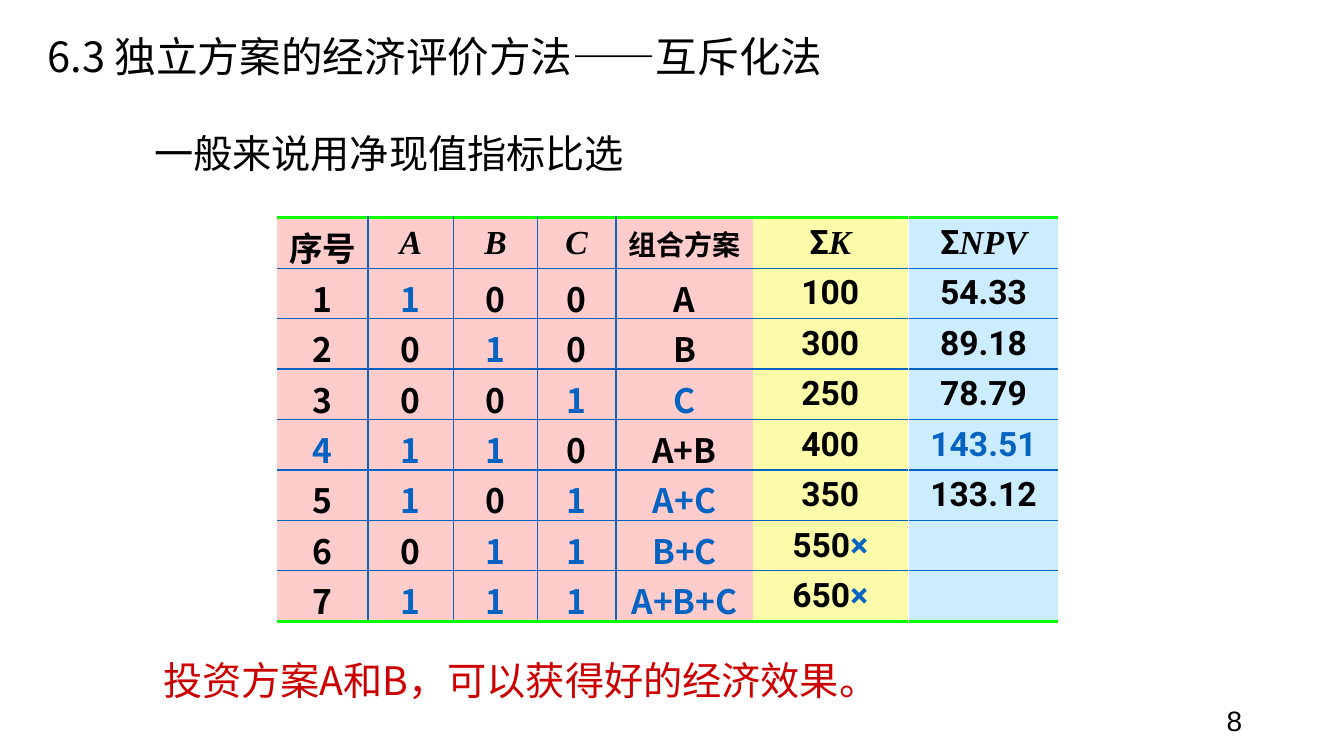
import pptx
import pptx.util
import pptx.dml.color
import pptx.enum.text
import pptx.oxml
import pptx.oxml.ns
from dataclasses import dataclass

Inches = pptx.util.Inches
Align = pptx.enum.text.PP_ALIGN
Anchor = pptx.enum.text.MSO_ANCHOR


@dataclass(frozen=True)
class Theme:
    """Colours, fonts and type sizes of the deck."""
    black: str = "000000"
    blue: str = "0563C1"
    green: str = "00FF00"
    red: str = "CC0000"
    pink: str = "FFCCCC"
    yellow: str = "FBFBA9"
    sky: str = "CCECFF"
    han: str = "Noto Sans CJK SC"
    sans: str = "Roboto"
    serif: str = "Times New Roman"
    plain: str = "Arial"
    title: float = 29.7
    body: float = 28
    cell: float = 24
    label: float = 20
    thin: float = 1
    thick: float = 2.25


class Deck:
    """Holds the theme and the current slide and adds elements to it."""

    def __init__(self, theme):
        """Start a deck with one slide."""
        self.theme = theme
        self.prs = pptx.Presentation()
        self.prs.slide_width = Inches(13.33)
        self.prs.slide_height = Inches(7.5)
        self.slide = self.prs.slides.add_slide(self.prs.slide_layouts[5])

    def ink(self, para, text, name, size, tint, **style):
        """Add a formatted run to a paragraph."""
        run = para.add_run()
        run.text = text
        style.update(name=name, size=pptx.util.Pt(size))
        for key, value in style.items():
            setattr(run.font, key, value)
        run.font.color.rgb = pptx.dml.color.RGBColor.from_string(tint)
        far = pptx.oxml.parse_xml(f'<a:ea {pptx.oxml.ns.nsdecls("a")} typeface="{name}"/>')
        run.font._element.append(far)

    def place(self, shape, box):
        """Set the place and size of a shape."""
        for key, value in zip(("left", "top", "width", "height"), box):
            setattr(shape, key, Inches(value))

    def title(self, text, box):
        """Fill the title placeholder."""
        shape = self.slide.shapes.title
        self.place(shape, box)
        frame = shape.text_frame
        frame.vertical_anchor = Anchor.MIDDLE
        frame.auto_size = pptx.enum.text.MSO_AUTO_SIZE.NONE
        para = frame.paragraphs[0]
        para.alignment = Align.LEFT
        para.line_spacing = 0.7
        self.ink(para, text, self.theme.han, self.theme.title, self.theme.black)

    def text(self, text, box, name, size, tint, align=Align.JUSTIFY, **form):
        """Add a line of text."""
        shape = self.slide.shapes.add_textbox(*map(Inches, box))
        for key, value in form.items():
            setattr(shape.text_frame, key, value)
        para = shape.text_frame.paragraphs[0]
        para.alignment = align
        self.ink(para, text, name, size, tint)

    def edge(self, cell, sides):
        """Draw the borders of a cell from a dict of side to colour and width."""
        props = cell._tc.get_or_add_tcPr()
        for spot, side in enumerate("LRTB"):
            tint, width = sides.get(side, (None, 0))
            fill = f'<a:solidFill><a:srgbClr val="{tint}"/></a:solidFill>' if tint else "<a:noFill/>"
            props.insert(spot, pptx.oxml.parse_xml(
                f'<a:ln{side} {pptx.oxml.ns.nsdecls("a")} w="{int(pptx.util.Pt(width))}">{fill}</a:ln{side}>'))

    def table(self, left, top, widths, high, rows, fill):
        """Add a filled table whose cells are lists of text, font, size, colour and slant."""
        last, end = len(rows) - 1, len(widths) - 1
        shape = self.slide.shapes.add_table(
            len(rows), len(widths), *map(Inches, (left, top, sum(widths), high * len(rows))))
        grid = shape.table
        grid.first_row = grid.horz_banding = False
        for col, width in zip(grid.columns, widths):
            col.width = Inches(width)
        rule = (self.theme.blue, self.theme.thin)
        rim = (self.theme.green, self.theme.thick)
        for i, row in enumerate(rows):
            grid.rows[i].height = Inches(high)
            for j, runs in enumerate(row):
                cell = grid.cell(i, j)
                cell.vertical_anchor = Anchor.MIDDLE
                cell.fill.solid()
                cell.fill.fore_color.rgb = pptx.dml.color.RGBColor.from_string(fill)
                sides = {"T": rim if i == 0 else rule, "B": rim if i == last else rule}
                if j > 0:
                    sides["L"] = rule
                if j < end:
                    sides["R"] = rule
                self.edge(cell, sides)
                para = cell.text_frame.paragraphs[0]
                para.alignment = Align.CENTER
                para.space_before = pptx.util.Pt(0.2 * self.theme.cell)
                for text, name, size, tint, slant in runs:
                    self.ink(para, text, name, size, tint, bold=True, italic=slant)


def main():
    """Build the slide and save it."""
    look = Theme()
    deck = Deck(look)
    top, high = 2.16, 0.5

    def part(text, name=look.han, tint=look.black, size=look.cell, slant=False):
        """Describe one run of a cell."""
        return text, name, size, tint, slant

    def sum_head(sign):
        """Describe the head of a column of sums."""
        return [[part("Σ", look.sans), part(sign, look.serif, slant=True)]]

    plans = ["100 A", "010 B", "001 C", "110 A+B", "101 A+C", "011 B+C", "111 A+B+C"]
    best = 4
    plan_rows = [[[part("序号")], *([part(x, look.serif, slant=True)] for x in "ABC"),
                  [part("组合方案", size=look.label)]]]
    for rank, plan in enumerate(plans, 1):
        bits, name = plan.split()
        plan_rows.append([
            [part(str(rank), tint=look.blue if rank == best else look.black)],
            *([part(x, tint=look.blue if x == "1" else look.black)] for x in bits),
            [part(name, tint=look.blue if "C" in name else look.black)]])

    costs = [100, 300, 250, 400, 350, 550, 650]
    limit = 500
    cost_rows = [sum_head("K")]
    for cost in costs:
        cross = [part("×", look.sans, look.blue)] if cost > limit else []
        cost_rows.append([[part(str(cost), look.sans), *cross]])

    gains = ["54.33", "89.18", "78.79", "143.51", "133.12", "", ""]
    gain_rows = [sum_head("NPV")]
    for rank, gain in enumerate(gains, 1):
        tint = look.blue if rank == best else look.black
        gain_rows.append([[part(gain, look.sans, tint)] if gain else []])

    deck.title("6.3 独立方案的经济评价方法——互斥化法", (0.37, 0.36, 11.43, 0.51))
    deck.text("一般来说用净现值指标比选", (1.43, 1.23, 4.91, 0.57),
              look.han, look.body, look.black, word_wrap=False)
    deck.table(9.02, top, [1.47], high, gain_rows, look.sky)
    deck.table(7.46, top, [1.55], high, cost_rows, look.yellow)
    deck.table(2.75, top, [0.9, 0.85, 0.83, 0.78, 1.36], high, plan_rows, look.pink)
    deck.text("投资方案A和B，可以获得好的经济效果。", (1.52, 6.46, 7.4, 0.57),
              look.han, look.body, look.red, word_wrap=False)
    deck.text("8", (9.42, 6.95, 3, 0.4), look.plain, look.label, look.black,
              Align.RIGHT, word_wrap=True, vertical_anchor=Anchor.MIDDLE)
    deck.prs.save("out.pptx")


if __name__ == "__main__":
    main()
